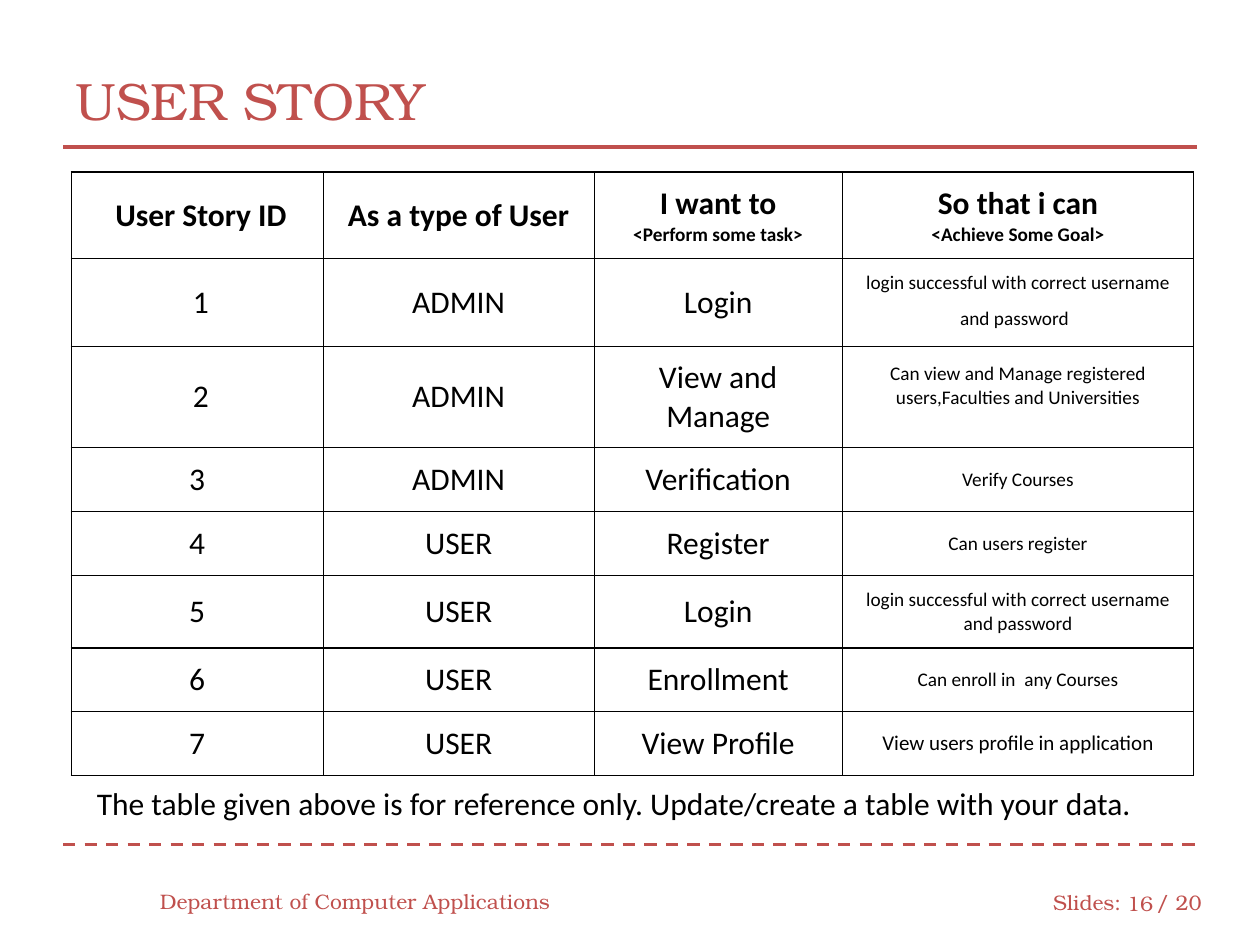
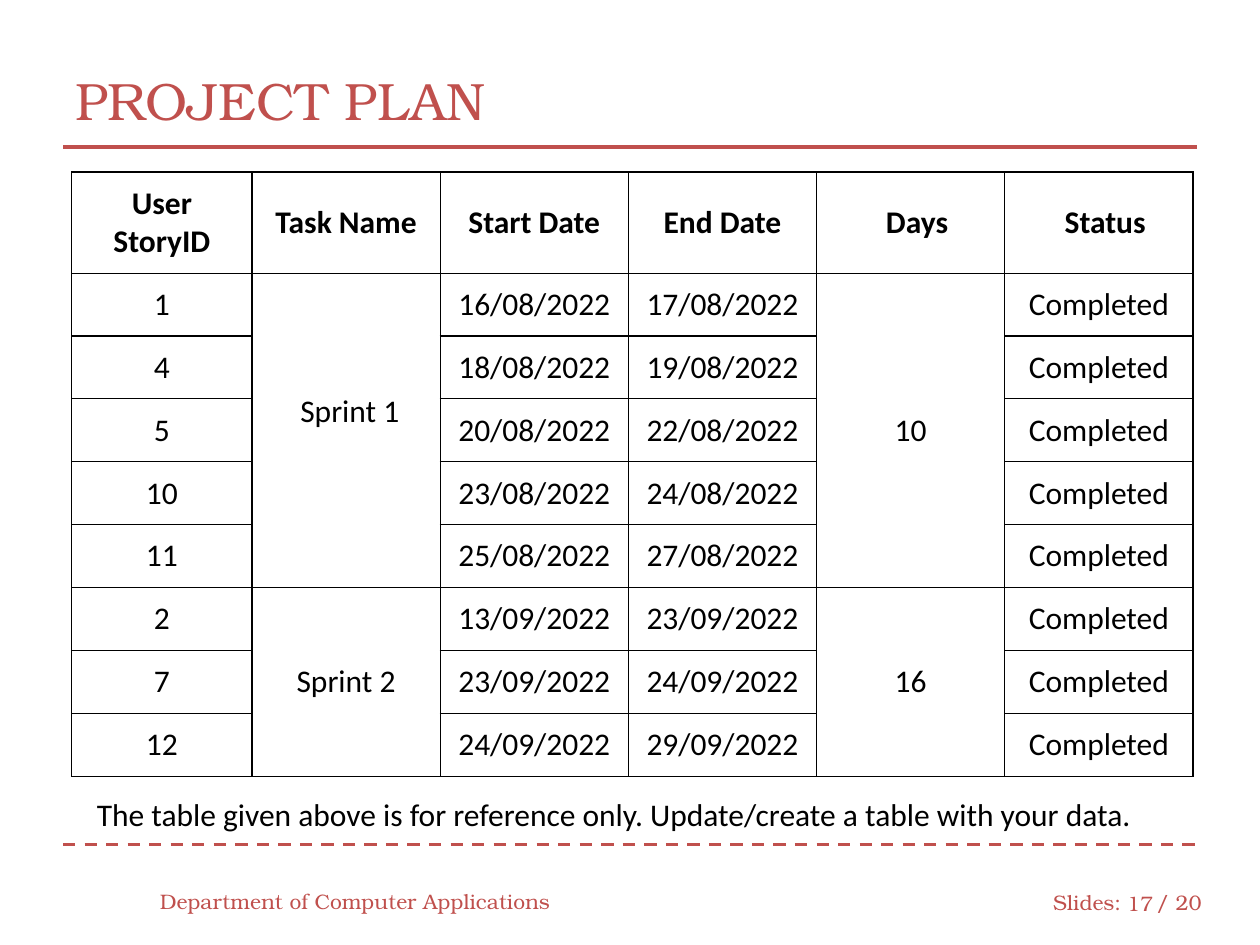
import pptx
import pptx.dml.color
import pptx.enum.dml
import pptx.enum.shapes
import pptx.enum.text
import pptx.oxml.ns
import pptx.util
import lxml.etree

RED, BLACK, WHITE = "C0504D", "000000", "FFFFFF"
SERIF, SANS = "TeX Gyre Bonum", "Calibri"
ALIGN = pptx.enum.text.PP_ALIGN
MIDDLE = pptx.enum.text.MSO_ANCHOR.MIDDLE
NOTE = ("The table given above is for reference only. "
        "Update/create a table with your data.")
LOGIN = "login successful with correct username and password"

deck = pptx.Presentation()
deck.slide_width = pptx.util.Inches(10)
deck.slide_height = pptx.util.Inches(7.5)
# One percent of the slide's width and height
wide, high = deck.slide_width / 100, deck.slide_height / 100


def paint(color, code):
    color.rgb = pptx.dml.color.RGBColor.from_string(code)


def write(frame, text, size, face, code, align=ALIGN.LEFT, bold=False):
    frame.text = text
    frame.word_wrap = True
    for para in frame.paragraphs:
        para.alignment = align
        for run in para.runs:
            run.font.size = pptx.util.Pt(size)
            run.font.name = face
            run.font.bold = bold
            paint(run.font.color, code)


# Table contents: an empty string continues the cell above
stories = [
    ["User Story ID", "As a type of User",
     "I want to\n<Perform some task>", "So that i can\n<Achieve Some Goal>"],
    ["1", "ADMIN", "Login", LOGIN],
    ["2", "ADMIN", "View and Manage",
     "Can view and Manage registered users,Faculties and Universities"],
    ["3", "ADMIN", "Verification", "Verify Courses"],
    ["4", "USER", "Register", "Can users register"],
    ["5", "USER", "Login", LOGIN],
    ["6", "USER", "Enrollment", "Can enroll in  any Courses"],
    ["7", "USER", "View Profile", "View users profile in application"],
]
plan = [["User\nStoryID", "Task Name", "Start Date", "End Date", "Days", "Status"]]
for story, sprint, start, end, days in [
    ("1", "Sprint 1", "16/08", "17/08", "10"),
    ("4", "", "18/08", "19/08", ""),
    ("5", "", "20/08", "22/08", ""),
    ("10", "", "23/08", "24/08", ""),
    ("11", "", "25/08", "27/08", ""),
    ("2", "Sprint 2", "13/09", "23/09", "16"),
    ("7", "", "23/09", "24/09", ""),
    ("12", "", "24/09", "29/09", ""),
]:
    plan.append([story, sprint, start + "/2022", end + "/2022", days, "Completed"])

# Each page: columns and rows in percent, small text sizes,
# extra left and bottom cell margins in inches, merged spans (column, first, last)
pages = [
    dict(title="USER STORY", number="16", note=82.3, left=5.65, data=stories,
         cols=[20, 21.5, 19.7, 27.9],
         rows=[9.2, 9.25, 10.75, 6.75, 6.75, 7.7, 6.75, 6.75],
         small={(row, 3): 12 if row == 7 else 11 for row in range(1, 8)},
         shift={(0, 0): (0.06, 0), (1, 0): (0.06, 0), (2, 0): (0.06, 0),
                (2, 3): (0, 0.18)},
         spans=[]),
    dict(title="PROJECT PLAN", number="17", note=83.5, left=5.7, data=plan,
         cols=[14.3] + [14.94] * 5, rows=[10.7] + [6.66] * 8,
         small={},
         shift={(0, 4): (0.1, 0), (0, 5): (0.1, 0), (1, 1): (0.06, 0.3)},
         spans=[(col, *rows) for col in (1, 4) for rows in ((1, 5), (6, 8))]),
]

for page in pages:
    slide = deck.slides.add_slide(deck.slide_layouts[6])

    # Rules above and below the content
    for level, dash in ((89.33, True), (15.6, False)):
        rule = slide.shapes.add_connector(
            pptx.enum.shapes.MSO_CONNECTOR.STRAIGHT,
            int(5 * wide), int(level * high), int(95 * wide), int(level * high))
        paint(rule.line.color, RED)
        rule.line.width = pptx.util.Pt(1.75 if dash else 2.25)
        if dash:
            rule.line.dash_style = pptx.enum.dml.MSO_LINE.DASH
        lxml.etree.SubElement(rule.element.spPr, pptx.oxml.ns.qn("a:effectLst"))

    # Title, footer and note, placed in percent of the slide
    for text, x, y, w, h, size, face, code, align in [
        (page["title"], 5, 4.4, 90, 12.3, 30, SERIF, RED, ALIGN.LEFT),
        ("Department of Computer Applications",
         11.7, 92.7, 36, 5.33, 12, SERIF, RED, ALIGN.LEFT),
        ("Slides:", 82.6, 92.8, 8, 5.33, 12, SERIF, RED, ALIGN.LEFT),
        (page["number"], 87.3, 92.9, 5.2, 5.33, 12, SERIF, RED, ALIGN.RIGHT),
        ("/ 20", 90.8, 92.8, 6, 5.33, 12, SERIF, RED, ALIGN.LEFT),
        (NOTE, 6.7, page["note"], 86, 5.33, 18, SANS, BLACK, ALIGN.LEFT),
    ]:
        box = slide.shapes.add_textbox(
            int(x * wide), int(y * high), int(w * wide), int(h * high))
        write(box.text_frame, text, size, face, code, align)
        box.text_frame.vertical_anchor = MIDDLE

    # Table grid
    data, cols, rows = page["data"], page["cols"], page["rows"]
    table = slide.shapes.add_table(
        len(rows), len(cols), int(page["left"] * wide), int(18.2 * high),
        int(sum(cols) * wide), int(sum(rows) * high)).table
    for col, width in zip(table.columns, cols):
        col.width = int(width * wide)
    for row, height in zip(table.rows, rows):
        row.height = int(height * high)
    for col, first, last in page["spans"]:
        table.cell(first, col).merge(table.cell(last, col))

    # Cells
    for r, line in enumerate(data):
        for c, text in enumerate(line):
            cell = table.cell(r, c)
            size = page["small"].get((r, c), 18)
            left, bottom = page["shift"].get((r, c), (0, 0))
            write(cell.text_frame, text, size, SANS, BLACK, ALIGN.CENTER, r == 0)
            if "<" in text:
                cell.text_frame.paragraphs[1].runs[0].font.size = pptx.util.Pt(11)
            if text == LOGIN and r == 1:
                # A large last space opens up the second line
                tail = cell.text_frame.paragraphs[0].add_run()
                tail.text = " "
                tail.font.size = pptx.util.Pt(18)
                tail.font.name = SANS
            cell.vertical_anchor = MIDDLE
            cell.margin_left = pptx.util.Inches(0.1 + left)
            cell.margin_right = pptx.util.Inches(0.1)
            cell.margin_top = pptx.util.Inches(0.09)
            cell.margin_bottom = pptx.util.Inches(0.09 + bottom)

            # Borders go before the fill
            props = cell._tc.get_or_add_tcPr()
            for side in ("lnL", "lnR", "lnT", "lnB"):
                edge = lxml.etree.SubElement(
                    props, pptx.oxml.ns.qn("a:" + side), w=str(pptx.util.Pt(0.75)))
                solid = lxml.etree.SubElement(edge, pptx.oxml.ns.qn("a:solidFill"))
                lxml.etree.SubElement(
                    solid, pptx.oxml.ns.qn("a:srgbClr"), val=BLACK)
            cell.fill.solid()
            paint(cell.fill.fore_color, WHITE)

deck.save("out.pptx")
